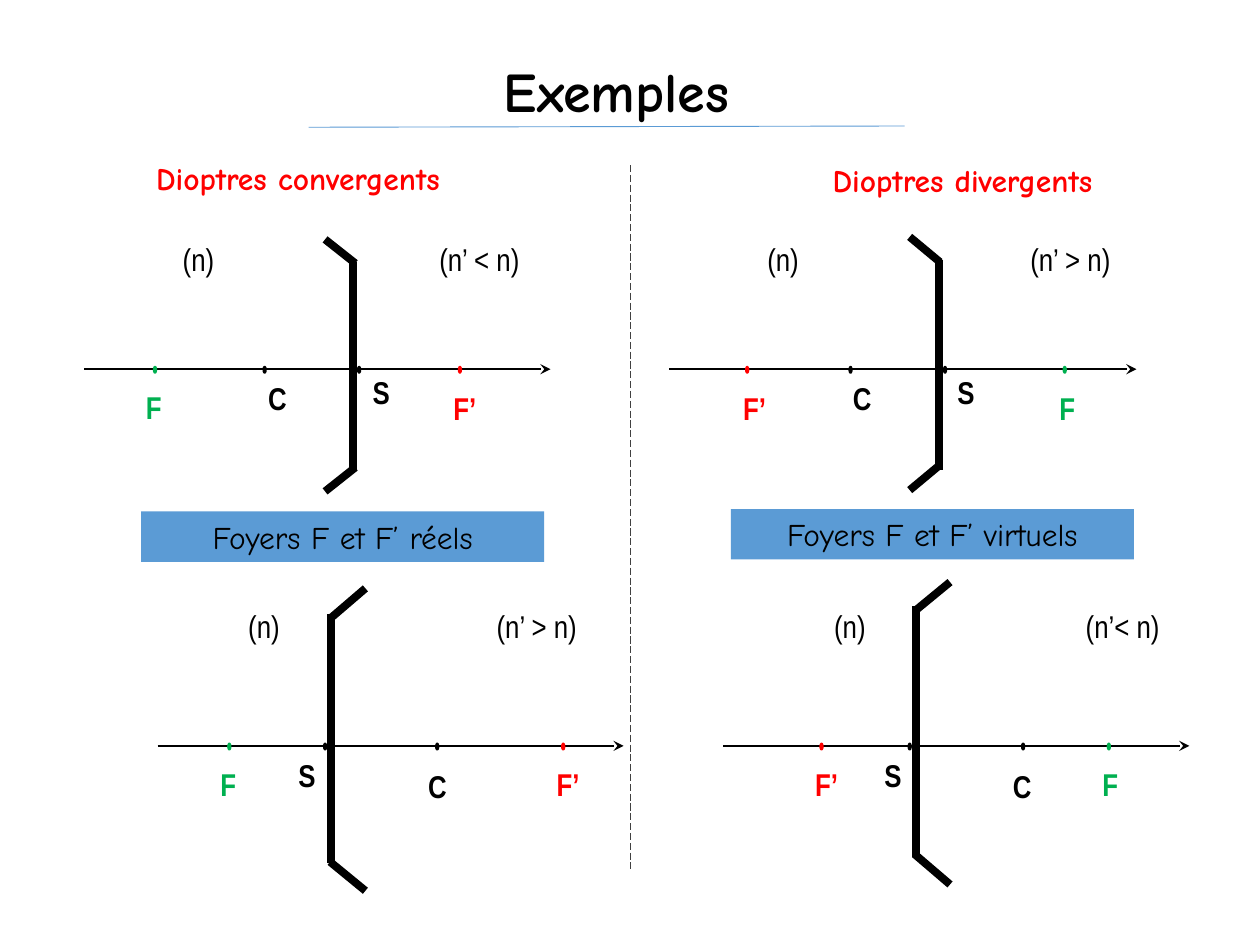
from dataclasses import dataclass

from lxml import etree
from pptx import Presentation
from pptx import util as u
from pptx.dml.color import RGBColor
from pptx.enum import dml, shapes, text
from pptx.oxml.ns import qn

EMU_PER_PX = 9144  # 100 px to the inch
BLACK, RED, GREEN, BLUE, GREY = "000000", "FF0000", "00B050", "5B9BD5", "404040"
NARROW, COMIC = "Arial Narrow", "Comic Neue"
LEFT, CENTER = text.PP_ALIGN.LEFT, text.PP_ALIGN.CENTER
LABEL_H = 40


@dataclass
class Box:
    left: int
    top: int
    width: int
    height: int = LABEL_H

    def emu(self) -> list:
        return [px(v) for v in (self.left, self.top, self.width, self.height)]


@dataclass
class AxisPoint:
    name: str
    x: int
    label_left: int
    label_top: int
    colour: str = BLACK


@dataclass
class Lens:
    """Spine at x; the tips end at tip_x. Heights run from top to bottom."""
    x: int
    joint_x: int
    tip_x: int
    spine: tuple
    joints: tuple
    tips: tuple


@dataclass
class Diopter:
    axis_left: int
    axis_right: int
    axis_y: int
    lens: Lens
    points: list
    object_medium: Box
    image_medium: Box
    image_index: str


def px(value: int) -> u.Emu:
    return u.Emu(value * EMU_PER_PX)


def rgb(value: str) -> RGBColor:
    return RGBColor.from_string(value)


def write(shape, words: str, font: str = NARROW, size: int = 18, colour: str = BLACK,
          bold: bool = False, align=CENTER, wrap: bool = True) -> None:
    frame = shape.text_frame
    frame_format = {
        "margin_left": u.Inches(0.1), "margin_right": u.Inches(0.1),
        "margin_top": u.Inches(0.05), "margin_bottom": u.Inches(0.05),
        "vertical_anchor": text.MSO_ANCHOR.TOP, "word_wrap": wrap,
        "auto_size": text.MSO_AUTO_SIZE.NONE,
    }
    for key, value in frame_format.items():
        setattr(frame, key, value)
    paragraph = frame.paragraphs[0]
    paragraph.alignment = align
    run = paragraph.add_run()
    run.text = words
    for key, value in {"name": font, "size": u.Pt(size), "bold": bold}.items():
        setattr(run.font, key, value)
    run.font.color.rgb = rgb(colour)


def add_label(slide, box: Box, words: str, **style) -> None:
    write(slide.shapes.add_textbox(*box.emu()), words, **style)


def add_line(slide, start: tuple, end: tuple, colour: str, width: float,
             dash=None, arrow: bool = False) -> None:
    ends = [px(v) for v in (*start, *end)]
    line = slide.shapes.add_connector(shapes.MSO_CONNECTOR.STRAIGHT, *ends)
    line.line.color.rgb = rgb(colour)
    line.line.width = u.Pt(width)
    if dash:
        line.line.dash_style = dash
    properties = line._element.spPr
    if arrow:
        etree.SubElement(properties.find(qn("a:ln")), qn("a:tailEnd"), type="stealth")
    etree.SubElement(properties, qn("a:effectLst"))


def add_filled(slide, kind, box: Box, colour: str, outlined: bool = False):
    shape = slide.shapes.add_shape(kind, *box.emu())
    shape.shadow.inherit = False
    shape.fill.solid()
    shape.fill.fore_color.rgb = rgb(colour)
    if outlined:
        shape.line.color.rgb = rgb(colour)
        shape.line.width = u.Pt(1)
    else:
        shape.line.fill.background()
    return shape


def draw_diopter(slide, d: Diopter) -> None:
    # Optical axis with its points
    add_line(slide, (d.axis_left, d.axis_y), (d.axis_right, d.axis_y), BLACK, 1.25, arrow=True)
    for point in d.points:
        dot = Box(point.x, d.axis_y - 2, 2, 5)
        add_filled(slide, shapes.MSO_SHAPE.OVAL, dot, point.colour, outlined=True)
        width = 39 if point.name == "F’" else 30
        add_label(slide, Box(point.label_left, point.label_top, width), point.name,
                  colour=point.colour, bold=True, align=LEFT)
    # Refractive indices on either side
    add_label(slide, d.object_medium, "(n)")
    add_label(slide, d.image_medium, d.image_index)
    # Refracting surface
    lens = d.lens
    add_line(slide, (lens.x, lens.spine[0]), (lens.x, lens.spine[1]), BLACK, 4.5)
    for joint, tip in zip(lens.joints, lens.tips):
        add_line(slide, (lens.joint_x, joint), (lens.tip_x, tip), BLACK, 4.5)


DIOPTERS = [
    # Convergent
    Diopter(67, 437, 293, Lens(280, 282, 258, (208, 374), (209, 371), (190, 390)),
            [AxisPoint("S", 284, 286, 291), AxisPoint("C", 209, 203, 296),
             AxisPoint("F", 122, 106, 303, GREEN), AxisPoint("F’", 364, 350, 304, RED)],
            Box(112, 186, 91), Box(324, 186, 113), "(n’ < n)"),
    Diopter(125, 495, 592, Lens(263, 262, 290, (487, 685), (491, 684), (467, 707)),
            [AxisPoint("S", 257, 227, 595), AxisPoint("C", 346, 330, 604),
             AxisPoint("F", 181, 165, 602, GREEN), AxisPoint("F’", 446, 432, 602, RED)],
            Box(164, 477, 91), Box(369, 477, 114), "(n’ > n)"),
    # Divergent
    Diopter(531, 902, 293, Lens(745, 746, 722, (206, 373), (208, 369), (188, 389)),
            [AxisPoint("S", 749, 750, 291), AxisPoint("C", 674, 667, 296),
             AxisPoint("F’", 592, 580, 304, RED), AxisPoint("F", 844, 831, 304, GREEN)],
            Box(576, 186, 91), Box(789, 186, 121), "(n’ > n)"),
    Diopter(574, 944, 592, Lens(727, 726, 754, (481, 680), (485, 678), (462, 702)),
            [AxisPoint("S", 721, 692, 595), AxisPoint("C", 811, 794, 604),
             AxisPoint("F’", 651, 637, 602, RED), AxisPoint("F", 879, 865, 602, GREEN)],
            Box(629, 477, 91), Box(834, 477, 114), "(n’< n)"),
]


def main() -> None:
    deck = Presentation()
    deck.slide_width, deck.slide_height = px(1000), px(750)
    slide = deck.slides.add_slide(deck.slide_layouts[5])

    # Title and its rule
    title = slide.shapes.title
    sides = ("left", "top", "width", "height")
    for side, value in zip(sides, Box(23, 40, 933, 64).emu()):
        setattr(title, side, value)
    write(title, "Exemples", font=COMIC, size=32, bold=True)
    add_line(slide, (245, 101), (718, 100), BLUE, 0.5)

    # Column headings and divider
    add_line(slide, (500, 131), (500, 690), GREY, 0.5, dash=dml.MSO_LINE.LONG_DASH)
    heading = {"font": COMIC, "colour": RED, "bold": True, "align": LEFT}
    add_label(slide, Box(114, 121, 331), "Dioptres convergents", **heading)
    add_label(slide, Box(651, 123, 228), "Dioptres divergents", wrap=False, **heading)

    for diopter in DIOPTERS:
        draw_diopter(slide, diopter)

    # Conclusions
    for box, conclusion in ((Box(112, 406, 320), "Foyers F et F’ réels"),
                            (Box(580, 404, 320), "Foyers F et F’ virtuels")):
        banner = add_filled(slide, shapes.MSO_SHAPE.RECTANGLE, box, BLUE)
        write(banner, conclusion, font=COMIC)

    deck.save("out.pptx")


if __name__ == "__main__":
    main()
